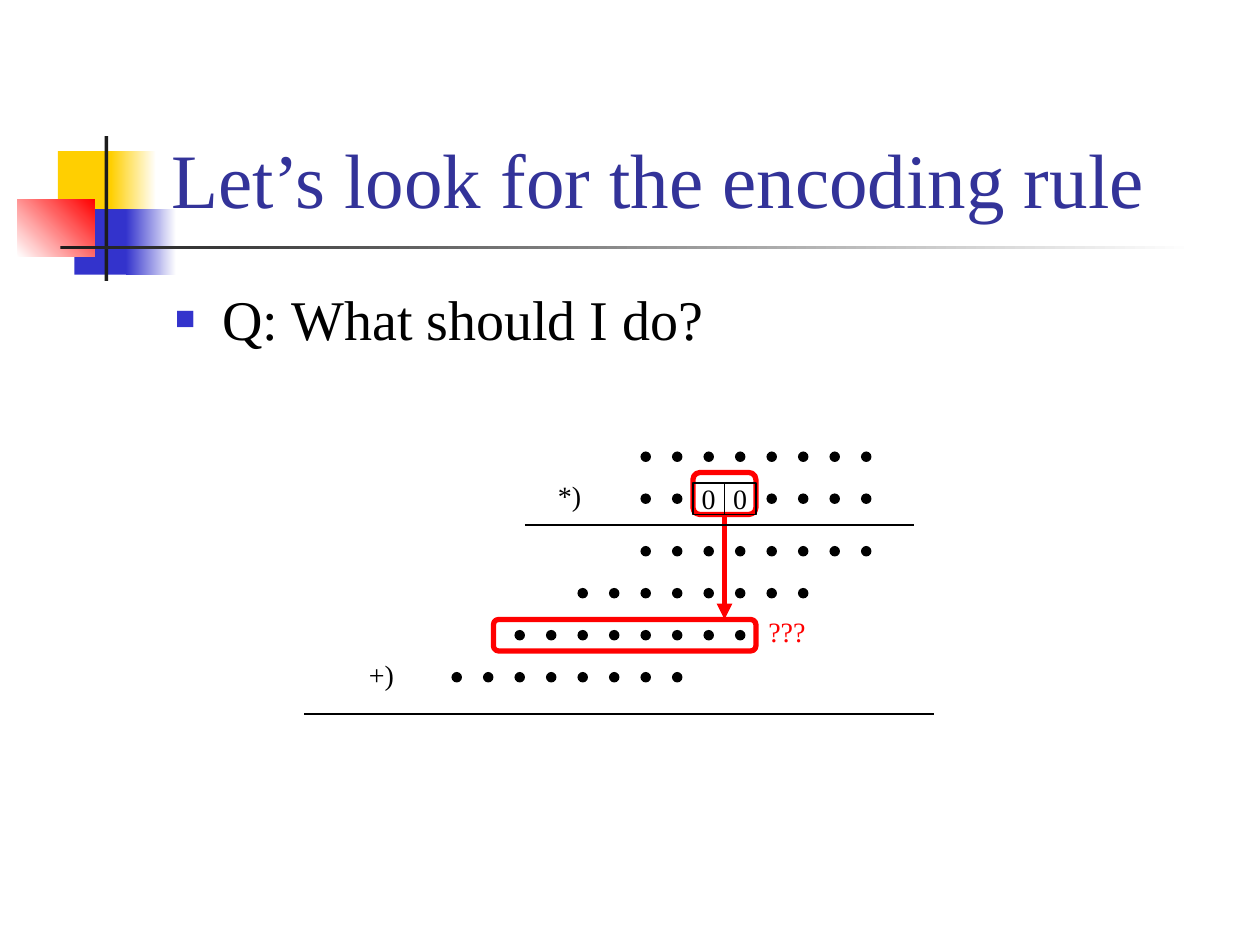
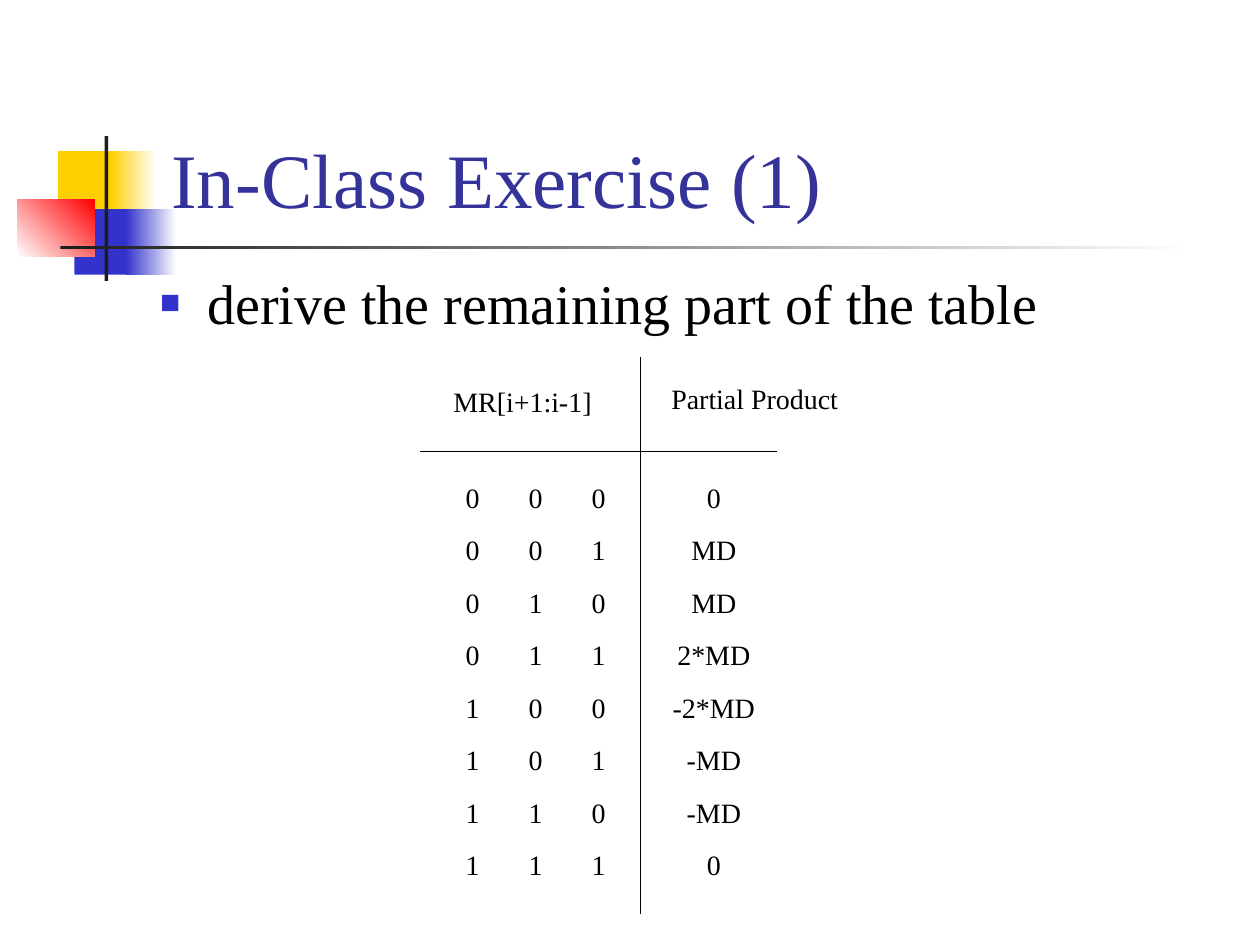
from lxml.etree import SubElement
from pptx import Presentation
from pptx.dml.color import RGBColor
from pptx.enum.shapes import MSO_CONNECTOR, MSO_SHAPE
from pptx.enum.text import MSO_ANCHOR, MSO_AUTO_SIZE, PP_ALIGN
from pptx.oxml.ns import qn
from pptx.util import Inches, Pt

FONT = "Times New Roman"
BLACK, WHITE, RED = "000000", "FFFFFF", "FF0000"
YELLOW, BLUE, CHARCOAL, TITLE_BLUE = "FFCF01", "3333CC", "1C1C1C", "333399"
UNIT = 1 / 12  # the slide is a grid of 120 columns and 90 rows


def paint(fill, *colours, angle=0):
    """Fill with one colour, or with a linear gradient between two."""
    if len(colours) == 1:
        fill.solid()
        fill.fore_color.rgb = RGBColor.from_string(colours[0])
        return
    fill.gradient()
    fill.gradient_angle = angle
    for stop, position, colour in zip(fill.gradient_stops, (0, 1), colours):
        stop.position = position
        stop.color.rgb = RGBColor.from_string(colour)


def write(frame, text, size=16, colour=BLACK, align=PP_ALIGN.LEFT,
          anchor=MSO_ANCHOR.TOP, wrap=False):
    """Put one formatted paragraph into a text frame and return it."""
    frame.text = text
    frame.word_wrap = wrap
    frame.auto_size = MSO_AUTO_SIZE.NONE
    frame.vertical_anchor = anchor
    para = frame.paragraphs[0]
    para.alignment = align
    font = para.runs[0].font
    font.name, font.size = FONT, Pt(size)
    paint(font.fill, colour)
    return para


deck = Presentation()
deck.slide_width, deck.slide_height = Inches(10), Inches(7.5)

# Title and question of each slide
headings = [
    ("Let’s look for the encoding rule", "Q: What should I do?", (1.29, 2.21, 8.5, 0.71)),
    ("In-Class Exercise (1)", "derive the remaining part of the table", (1.17, 2.08, 8.5, 0.75)),
]
pages = []
for title, question, body_place in headings:
    page = deck.slides.add_slide(deck.slide_layouts[1])
    pages.append(page)
    heading, body = page.placeholders
    for box, place in ((heading, (1.26, 0.23, 8.52, 1.6)), (body, body_place)):
        box.left, box.top, box.width, box.height = map(Inches, place)
    write(heading.text_frame, title, 44, TITLE_BLUE, anchor=MSO_ANCHOR.BOTTOM, wrap=True)
    para = write(body.text_frame, question, 32, wrap=True)
    bullet = para._p.get_or_add_pPr()
    SubElement(SubElement(bullet, qn("a:buClr")), qn("a:srgbClr"), val=BLUE)
    SubElement(bullet, qn("a:buSzPct"), val="60000")
    SubElement(bullet, qn("a:buFont"), typeface=FONT)
    SubElement(bullet, qn("a:buChar"), char="■")
multiplication, exercise = pages

# Squares and bars beside the title, moved to the slide master
decorations = [
    (0.46, 1.2, 0.48, 0.52, [YELLOW], 0),
    (0.88, 1.2, 0.36, 0.52, [YELLOW, WHITE], 0),
    (0.59, 1.66, 0.46, 0.52, [BLUE], 0),
    (1, 1.66, 0.4, 0.52, [BLUE, WHITE], 0),
    (0.14, 1.58, 0.61, 0.46, [WHITE, RED], 45),
    (0.83, 1.08, 0.03, 1.15, [CHARCOAL], 0),
    (0.48, 1.95, 9, 0.03, [CHARCOAL, WHITE], 0),
]
master_tree = deck.slide_master.shapes.element
for index, (*place, colours, angle) in enumerate(decorations):
    band = multiplication.shapes.add_shape(MSO_SHAPE.RECTANGLE, *map(Inches, place))
    band.shadow.inherit = False
    band.line.fill.background()
    paint(band.fill, *colours, angle=angle)
    band.element.nvSpPr.cNvPr.set("id", str(100 + index))
    master_tree.insert(2 + index, band.element)

# Red frames around the bit pair and its partial product
for place in ((66, 45, 6, 4), (47, 59, 25, 3)):
    frame = multiplication.shapes.add_shape(
        MSO_SHAPE.ROUNDED_RECTANGLE, *(Inches(n * UNIT) for n in place))
    frame.shadow.inherit = False
    frame.fill.background()
    paint(frame.line.fill, RED)
    frame.line.width = Pt(3)

# Truth table
products = ["0", "MD", "MD", "2*MD", "-2*MD", "-MD", "-MD", "0"]
widths = [0.5, 0.5, 0.5, 1.33]
row_height = 5 * UNIT
table = exercise.shapes.add_table(
    len(products), len(widths), Inches(3.5), Inches(3.75),
    Inches(sum(widths)), Inches(row_height * len(products))).table
table.first_row = table.horz_banding = False
for column, width in zip(table.columns, widths):
    column.width = Inches(width)
for number, product in enumerate(products):
    table.rows[number].height = Inches(row_height)
    for column, text in enumerate([*f"{number:03b}", product]):
        cell = table.cell(number, column)
        cell.fill.background()
        cell.margin_top = cell.margin_bottom = 0
        cell.vertical_anchor = MSO_ANCHOR.MIDDLE
        cell.text = text
        para = cell.text_frame.paragraphs[0]
        para.alignment = PP_ALIGN.CENTER
        font = para.runs[0].font
        font.name, font.size = FONT, Pt(16)
        paint(font.fill, BLACK)

# Rules of both slides, and the arrow from the bit pair to its product
rules = [
    (multiplication, (69, 49, 69, 59), RED, 3),
    (multiplication, (50, 50, 87, 50), BLACK, 0.75),
    (multiplication, (29, 68, 89, 68), BLACK, 0.75),
    (exercise, (40, 43, 74, 43), BLACK, 0.75),
    (exercise, (61, 34, 61, 87), BLACK, 0.75),
]
for page, ends, colour, width in rules:
    rule = page.shapes.add_connector(
        MSO_CONNECTOR.STRAIGHT, *(Inches(n * UNIT) for n in ends))
    paint(rule.line.fill, colour)
    rule.line.width = Pt(width)
    if colour == RED:
        SubElement(rule.line._get_or_add_ln(), qn("a:tailEnd"), type="triangle")
    SubElement(rule.element.spPr, qn("a:effectLst"))

# Dots: two factors, then four partial products, each two bits further left
dot_rows = [(61, 43), (61, 47), (61, 52), (55, 56), (49, 60), (43, 64)]
for row, (first, top) in enumerate(dot_rows):
    for bit in range(8):
        if row == 1 and bit in (2, 3):
            continue
        dot = multiplication.shapes.add_shape(
            MSO_SHAPE.OVAL, Inches((first + 3 * bit) * UNIT), Inches(top * UNIT),
            Inches(UNIT), Inches(UNIT))
        dot.shadow.inherit = False
        dot.line.fill.background()
        paint(dot.fill, BLACK)

# The bit pair in its cells
for left in (66, 69):
    digit = multiplication.shapes.add_textbox(
        *(Inches(n * UNIT) for n in (left, 46, 3, 3)))
    write(digit.text_frame, "0", align=PP_ALIGN.CENTER, anchor=MSO_ANCHOR.MIDDLE)
    paint(digit.line.fill, BLACK)
    digit.line.width = Pt(0.75)

# Operators, question marks and table headings
labels = [
    (multiplication, "*)", 4.33, 3.75, 0.39, BLACK),
    (multiplication, "+)", 2.83, 5.17, 0.4, BLACK),
    (multiplication, "???", 6, 4.83, 0.5, RED),
    (exercise, "MR[i+1:i-1]", 3.5, 3, 1.31, BLACK),
    (exercise, "Partial Product", 5.23, 2.98, 1.53, BLACK),
]
for page, text, left, top, width, colour in labels:
    box = page.shapes.add_textbox(*map(Inches, (left, top, width, 0.37)))
    write(box.text_frame, text, colour=colour)

deck.save("out.pptx")
